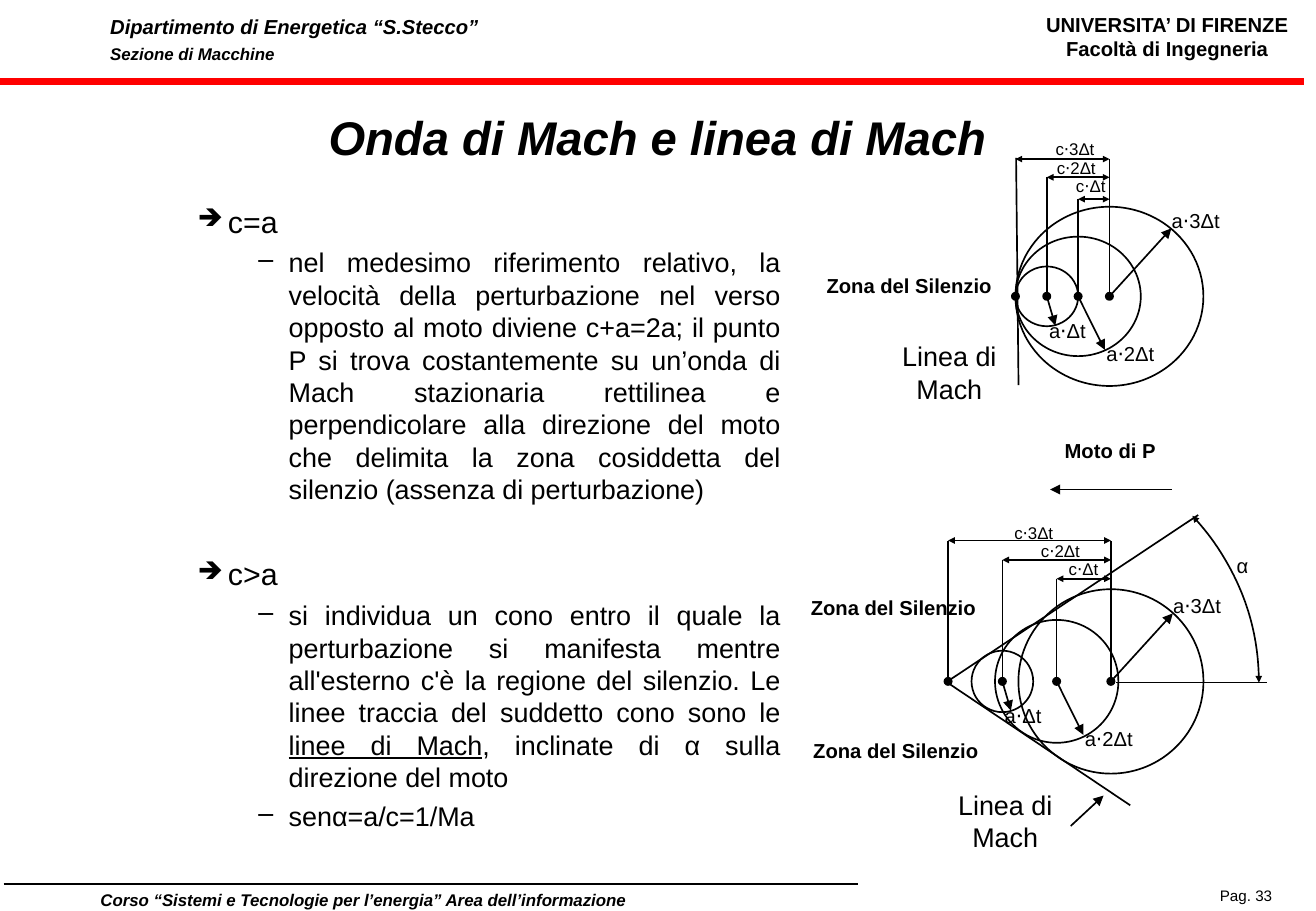
"""Builds the slide on the Mach wave and the Mach line, with its two wave diagrams."""
from lxml.etree import SubElement
from pptx import Presentation
from pptx.dml.color import RGBColor
from pptx.enum.shapes import MSO_CONNECTOR, MSO_SHAPE
from pptx.enum.text import MSO_ANCHOR, PP_ALIGN
from pptx.oxml.ns import qn
from pptx.util import Inches, Pt

THEME = {
    "font": "Arial", "black": RGBColor(0, 0, 0), "red": RGBColor(255, 0, 0),
    "title": 28, "topic": 18, "detail": 16, "label": 12, "small": 10, "page": 9,
}

presentation = Presentation()
presentation.slide_width = Inches(10.84)
presentation.slide_height = Inches(7.5)
slide = presentation.slides.add_slide(presentation.slide_layouts[6])
cell = presentation.slide_width / 108.4


def add_text(lines, left, top, width, height, size, bold=False, italic=False,
             align=PP_ALIGN.CENTER, wrap=True):
    """Adds a text box placed on the cell grid and returns its text frame."""
    box = slide.shapes.add_textbox(*(round(v * cell) for v in (left, top, width, height)))
    frame = box.text_frame
    frame.word_wrap = wrap
    frame.text = lines
    for paragraph in frame.paragraphs:
        paragraph.alignment = align
        font = paragraph.font
        font.name, font.size = THEME["font"], Pt(THEME[size])
        font.bold, font.italic = bold, italic
        font.color.rgb = THEME["black"]
    return frame


def style_line(shape, colour="black", width=1, heads=(), head_size="med"):
    """Sets the stroke and arrowheads of a shape and removes its shadow."""
    shape.line.color.rgb = THEME[colour]
    shape.line.width = Pt(width)
    properties = shape._element.spPr
    stroke = properties.find(qn("a:ln"))
    for head in heads:
        SubElement(stroke, qn(f"a:{head}"), type="triangle", w=head_size, len=head_size)
    SubElement(properties, qn("a:effectLst"))


add_text("UNIVERSITA’ DI FIRENZE\nFacoltà di Ingegneria", 85, 0.5, 22.3, 5, "label",
         bold=True, wrap=False)
add_text("Pag. 33", 99.5, 72.5, 11.7, 2.5, "page", align=PP_ALIGN.LEFT)
department = add_text("Dipartimento di Energetica “S.Stecco”\nSezione di Macchine",
                      8.1, 0.6, 36.6, 5.1, "label", True, True, PP_ALIGN.LEFT)
department.paragraphs[1].font.size = Pt(THEME["small"])
course = add_text("Corso “Sistemi e Tecnologie per l’energia” Area dell’informazione",
                  0, 72.3, 59.8, 3.1, "small", True, True)
for paragraph in (*department.paragraphs, *course.paragraphs):
    paragraph.line_spacing = Pt(15)
title = add_text("Onda di Mach e linea di Mach", 8.1, 7.5, 92.1, 7.5, "title", True, True)
title.vertical_anchor = MSO_ANCHOR.MIDDLE

LEVELS = {
    "topic": {"margin": 1.25, "before": 4.5, "bullet": "➔", "bullet_size": "80000"},
    "detail": {"margin": 1.75, "before": 4, "bullet": "–", "bullet_size": "100000"},
}
body_paragraphs = [
    ("topic", ["c=a"]),
    ("detail", ["nel medesimo riferimento relativo, la velocità della perturbazione nel verso "
                "opposto al moto diviene c+a=2a; il punto P si trova costantemente su un’onda di "
                "Mach stazionaria rettilinea e perpendicolare alla direzione del moto che "
                "delimita la zona cosiddetta del silenzio (assenza di perturbazione)"]),
    ("topic", ["c>a"]),
    ("detail", ["si individua un cono entro il quale la perturbazione si manifesta mentre "
                "all'esterno c'è la regione del silenzio. Le linee traccia del suddetto cono "
                "sono le ", "linee di Mach", ", inclinate di α sulla direzione del moto"]),
    ("detail", ["senα=a/c=1/Ma"]),
]
body = slide.shapes.add_textbox(*(round(v * cell) for v in (5.3, 16.2, 60, 54.2))).text_frame
body.word_wrap = True
for index, (level_name, texts) in enumerate(body_paragraphs):
    level = LEVELS[level_name]
    paragraph = body.add_paragraph() if index else body.paragraphs[0]
    paragraph.alignment = PP_ALIGN.JUSTIFY
    paragraph.space_before = Pt(30 if texts == ["c>a"] else level["before"])
    properties = paragraph._p.get_or_add_pPr()
    properties.set("marL", str(Inches(level["margin"])))
    properties.set("indent", str(-Inches(0.25)))
    bullet_colour = SubElement(properties, qn("a:buClr"))
    SubElement(bullet_colour, qn("a:srgbClr"), val=str(THEME["black"]))
    SubElement(properties, qn("a:buSzPct"), val=level["bullet_size"])
    SubElement(properties, qn("a:buChar"), char=level["bullet"])
    paragraph.font.name = THEME["font"]
    paragraph.font.size = Pt(THEME[level_name])
    paragraph.font.color.rgb = THEME["black"]
    for text in texts:
        run = paragraph.add_run()
        run.text = text
        if text == "linee di Mach":
            run.font.underline = True

VECTORS = {1: (0.7, 2.4), 2: (2.2, 4.4), 3: (5.1, -5.6)}
VECTOR_LABELS = {1: (-1, 1.35, 5.4), 2: (0.95, 3.2, 6.7), 3: (3.75, -7.75, 6.7)}
diagrams = [
    {"apex": 83.65, "axis": 24.4, "step": 2.58, "radius": (2.58, 2.46),
     "dimension_rows": {1: 16.4, 2: 14.6, 3: 13.1},
     "dimension_labels": {1: (86.5, 14), 2: (85.3, 12.5), 3: (85.2, 10.9)}},
    {"apex": 78.1, "axis": 56.1, "step": 4.47, "radius": (2.54, 2.53),
     "dimension_rows": {1: 47.65, 2: 46.1, 3: 44.5},
     "dimension_labels": {1: (85.9, 45.5), 2: (84, 44), 3: (81.8, 42.5)}},
]
plain = {}
arrow = {"heads": ["tailEnd"]}
double_arrow = {"heads": ["headEnd", "tailEnd"], "head_size": "sm"}
lines = [
    (0, 6.7, 107.4, 6.7, {"colour": "red", "width": 4.5}),
    (0.3, 72.8, 70.7, 72.8, plain),
    (83.7, 13, 83.9, 31.7, plain),
    (77.9, 56.2, 98.7, 42.4, plain),
    (77.9, 56.1, 93.1, 66.3, plain),
    (91.9, 56.2, 104.4, 56.2, plain),
    (88.2, 68, 90.9, 65.5, arrow),
    (96.5, 40.3, 86.5, 40.3, arrow),
]
for diagram in diagrams:
    axis, rows = diagram["axis"], diagram["dimension_rows"]
    sources = [diagram["apex"] + diagram["step"] * k for k in range(4)]
    ellipses = [(source, 0.3, 0.3, True) for source in sources]
    lines.append((sources[3], axis, sources[3], rows[3], plain))
    if diagram is diagrams[1]:
        lines.append((sources[0], axis, sources[0], rows[3], plain))
    for k in (1, 2, 3):
        source = sources[k]
        count = "" if k == 1 else k
        ellipses.append((source, *(radius * k for radius in diagram["radius"]), False))
        if k < 3:
            lines.append((source, axis, source, rows[3 - k], plain))
        lines.append((sources[3 - k], rows[k], sources[3], rows[k], double_arrow))
        dx, dy = VECTORS[k]
        lines.append((source, axis, source + dx, axis + dy, arrow))
        dx, dy, width = VECTOR_LABELS[k]
        add_text(f"a⋅{count}Δt", source + dx, axis + dy, width, 3, "label")
        add_text(f"c⋅{count}Δt", *diagram["dimension_labels"][k], 6.7, 2.7, "small")
    for centre, radius_x, radius_y, filled in ellipses:
        ellipse = slide.shapes.add_shape(MSO_SHAPE.OVAL, *(round(v * cell) for v in (
            centre - radius_x, axis - radius_y, 2 * radius_x, 2 * radius_y)))
        if filled:
            ellipse.fill.solid()
            ellipse.fill.fore_color.rgb = THEME["black"]
        else:
            ellipse.fill.background()
        style_line(ellipse)

for *ends, style in lines:
    connector = slide.shapes.add_connector(MSO_CONNECTOR.STRAIGHT, *(round(v * cell) for v in ends))
    style_line(connector, **style)

angle_arc = slide.shapes.add_shape(
    MSO_SHAPE.ARC, *(round(v * cell) for v in (60.7, 35.6, 43, 41.2)))
angle_arc.adjustments[0] = 191.64
angle_arc.adjustments[1] = 0
angle_arc.fill.background()
style_line(angle_arc, **double_arrow)

add_text("α", 99, 45.1, 6.7, 3, "label")
for left, top in ((73.1, 27.5), (77.7, 64.4)):
    add_text("Linea di Mach", left, top, 10.2, 6.4, "detail")
for text, left, top, width in (
    ("Moto di P", 86.7, 35.6, 9.5),
    ("Zona del Silenzio", 67.1, 22, 15.6),
    ("Zona del Silenzio", 66, 60.3, 15.6),
    ("Zona del Silenzio", 65.8, 48.5, 15.6),
):
    add_text(text, left, top, width, 3, "label", bold=True, wrap=False)

presentation.save("out.pptx")
